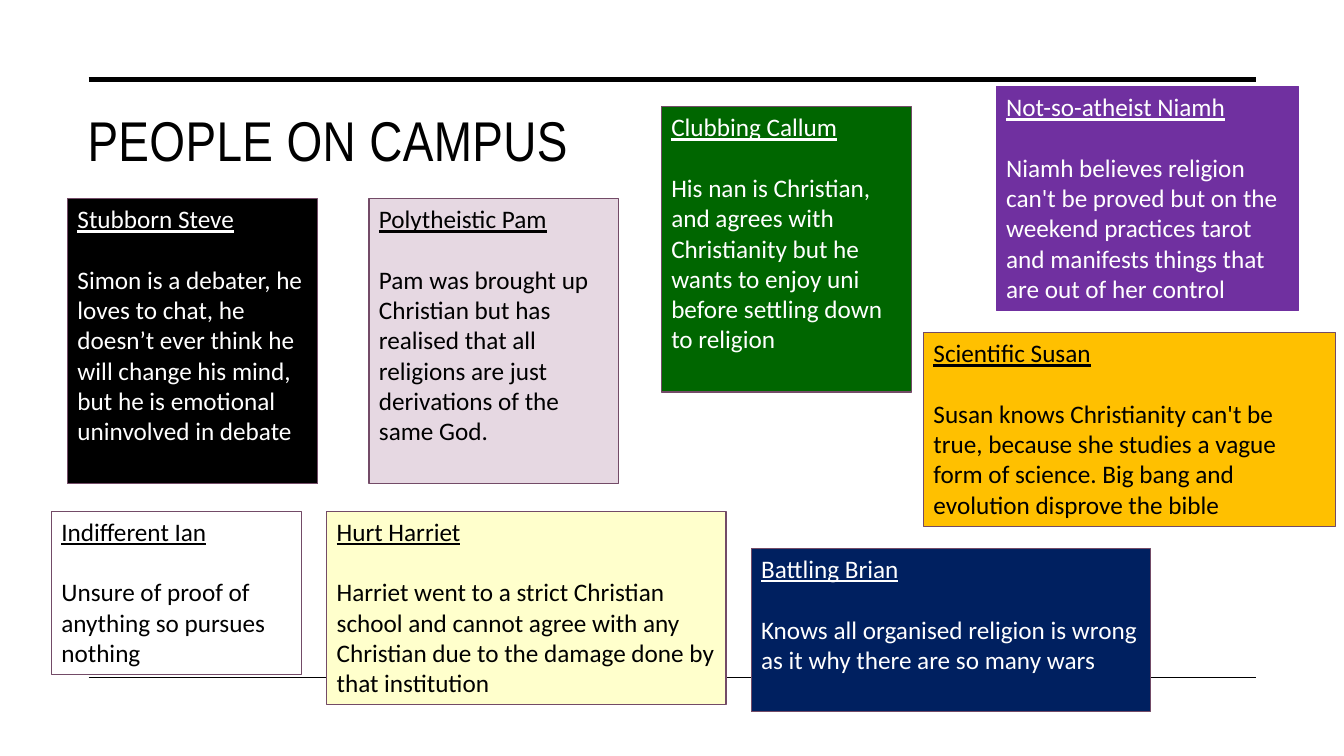
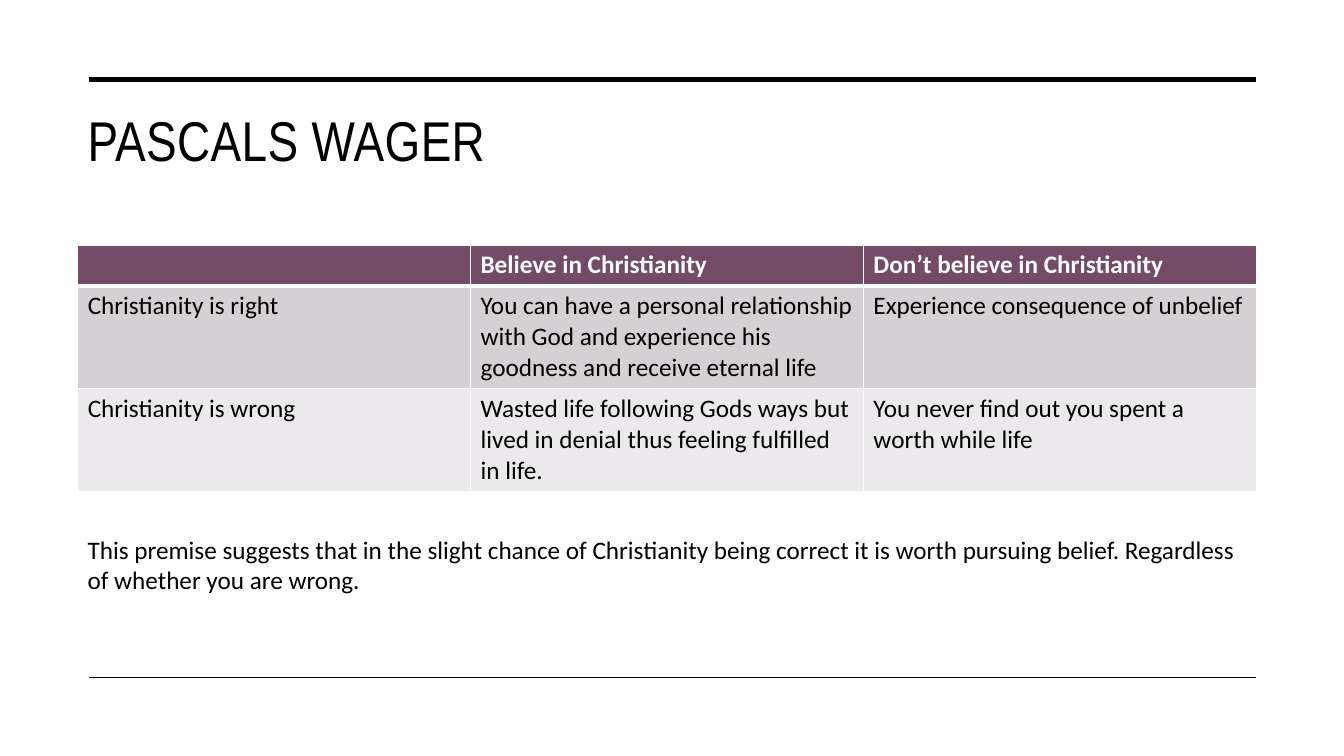
from lxml import etree
from pptx import Presentation
from pptx import util as u
from pptx.dml.color import RGBColor
from pptx.enum import shapes, text
from pptx.oxml.ns import qn

BLACK = RGBColor(0x00, 0x00, 0x00)
WHITE = RGBColor(0xFF, 0xFF, 0xFF)
PLUM = RGBColor(0x73, 0x4B, 0x67)
LILAC = RGBColor(0xE6, 0xD8, 0xE2)
GREEN = RGBColor(0x00, 0x66, 0x00)
AMBER = RGBColor(0xFF, 0xC0, 0x00)
CREAM = RGBColor(0xFF, 0xFF, 0xCC)
NAVY = RGBColor(0x00, 0x20, 0x60)
PURPLE = RGBColor(0x70, 0x30, 0xA0)
BAND_DARK = RGBColor(0xD5, 0xD0, 0xD3)
BAND_LIGHT = RGBColor(0xEB, 0xE9, 0xEB)

TITLE_FONT, BODY_FONT = "Arial Narrow", "Calibri"
BODY_SIZE = 18
# Positions and sizes are percentages of the slide's width and height
LEFT, WIDTH = 5.78, 87.7
RULE_LEFT, RULE_RIGHT = 6.6, 93.47


class Deck:
    def __init__(self):
        self.presentation = Presentation()
        self.presentation.slide_width = u.Inches(13.33)
        self.presentation.slide_height = u.Inches(7.5)
        self.slide = None

    def x(self, share):
        return int(self.presentation.slide_width * share / 100)

    def y(self, share):
        return int(self.presentation.slide_height * share / 100)

    def box(self, left, top, width, height):
        return self.x(left), self.y(top), self.x(width), self.y(height)

    def new_slide(self, title):
        self.slide = self.presentation.slides.add_slide(self.presentation.slide_layouts[6])
        self.rule(10.53, 3.5)
        self.rule(89.6, 1)
        run = self.text_box(title, 13.33, 19.07, TITLE_FONT, 40)
        run.font._element.set("spc", "30")

    def rule(self, top, weight):
        line = self.slide.shapes.add_connector(
            shapes.MSO_CONNECTOR.STRAIGHT,
            self.x(RULE_LEFT), self.y(top), self.x(RULE_RIGHT), self.y(top))
        line.line.color.rgb = BLACK
        line.line.width = u.Pt(weight)
        etree.SubElement(line._element.spPr, qn("a:effectLst"))

    def add_run(self, paragraph, words, color=BLACK, font=BODY_FONT, size=BODY_SIZE,
                bold=False, underline=False):
        paragraph.alignment = text.PP_ALIGN.LEFT
        run = paragraph.add_run()
        run.text = words
        run.font.name = font
        run.font.size = u.Pt(size)
        run.font.bold = bold
        run.font.underline = underline
        run.font.color.rgb = color
        return run

    def text_box(self, words, top, height, font=BODY_FONT, size=BODY_SIZE):
        frame = self.slide.shapes.add_textbox(*self.box(LEFT, top, WIDTH, height)).text_frame
        frame.word_wrap = True
        return self.add_run(frame.paragraphs[0], words, font=font, size=size)

    def card(self, place, fill, color, name, story, border=PLUM):
        shape = self.slide.shapes.add_shape(shapes.MSO_SHAPE.RECTANGLE, *self.box(*place))
        shape.shadow.inherit = False
        if fill is None:
            shape.fill.background()
        else:
            shape.fill.solid()
            shape.fill.fore_color.rgb = fill
        shape.line.color.rgb = border
        shape.line.width = u.Pt(0.75)
        frame = shape.text_frame
        frame.word_wrap = True
        frame.vertical_anchor = text.MSO_ANCHOR.TOP
        self.add_run(frame.paragraphs[0], name, color, underline=True)
        paragraph = frame.add_paragraph()
        paragraph.space_before = u.Pt(21.7)
        self.add_run(paragraph, story, color)

    def cell_borders(self, cell, top, bottom):
        properties = cell._tc.get_or_add_tcPr()
        for side, weight in (("L", 1), ("R", 1), ("T", top), ("B", bottom)):
            line = etree.SubElement(properties, qn("a:ln" + side), w=str(u.Pt(weight)))
            fill = etree.SubElement(line, qn("a:solidFill"))
            etree.SubElement(fill, qn("a:srgbClr"), val=str(WHITE))

    def table(self, top, heights, rows, fills):
        frame = self.slide.shapes.add_table(
            len(rows), len(rows[0]), *self.box(LEFT, top, WIDTH, sum(heights)))
        table = frame.table
        for row, words in enumerate(rows):
            header = row == 0
            table.rows[row].height = self.y(heights[row])
            for column, label in enumerate(words):
                cell = table.cell(row, column)
                self.cell_borders(cell, 3 if row == 1 else 1, 3 if header else 1)
                cell.fill.solid()
                cell.fill.fore_color.rgb = fills[row]
                if label:
                    self.add_run(cell.text_frame.paragraphs[0], label,
                                 WHITE if header else BLACK, bold=header)


def main():
    deck = Deck()

    # People on campus: one card per person
    deck.new_slide("PEOPLE ON CAMPUS")
    narrow, wide = 18.6, 29.71
    tall, medium, short = 37.73, 25.6, 21.6
    upper, lower = 26.27, 67.6
    deck.card((5.03, upper, narrow, tall), BLACK, WHITE, "Stubborn Steve",
              "Simon is a debater, he loves to chat, he doesn’t ever think he will "
              "change his mind, but he is emotional uninvolved in debate")
    deck.card((27.46, upper, narrow, tall), LILAC, BLACK, "Polytheistic Pam",
              "Pam was brought up Christian but has realised that all religions are "
              "just derivations of the same God.")
    deck.card((49.21, 14.13, narrow, tall), GREEN, WHITE, "Clubbing Callum",
              "His nan is Christian, and agrees with Christianity but he wants to "
              "enjoy uni before settling down to religion")
    deck.card((68.72, 44, 30.68, medium), AMBER, BLACK, "Scientific Susan",
              "Susan knows Christianity can't be true, because she studies a vague "
              "form of science. Big bang and evolution disprove the bible")
    deck.card((24.31, lower, wide, medium), CREAM, BLACK, "Hurt Harriet",
              "Harriet went to a strict Christian school and cannot agree with any "
              "Christian due to the damage done by that institution")
    deck.card((55.89, 72.53, wide, short), NAVY, WHITE, "Battling Brian",
              "Knows all organised religion is wrong as it why there are so many wars")
    deck.card((3.83, lower, narrow, short), None, BLACK, "Indifferent Ian",
              "Unsure of proof of anything so pursues nothing")
    deck.card((74.12, 11.47, 22.51, 29.6), PURPLE, WHITE, "Not-so-atheist Niamh",
              "Niamh believes religion can't be proved but on the weekend practices "
              "tarot and manifests things that are out of her control", border=PURPLE)

    # Pascal's wager: outcome table and conclusion
    deck.new_slide("PASCALS WAGER")
    deck.table(32.4, (5.4, 13.6, 13.6), (
        ("", "Believe in Christianity", "Don’t believe in Christianity"),
        ("Christianity is right",
         "You can have a personal relationship with God and experience his goodness "
         "and receive eternal life",
         "Experience consequence of unbelief"),
        ("Christianity is wrong",
         "Wasted life following Gods ways but lived in denial thus feeling fulfilled "
         "in life.",
         "You never find out you spent a worth while life"),
    ), (PLUM, BAND_DARK, BAND_LIGHT))
    deck.text_box("This premise suggests that in the slight chance of Christianity being "
                  "correct it is worth pursuing belief. Regardless of whether you are wrong.",
                  70, 9.47)

    deck.presentation.save("out.pptx")


if __name__ == "__main__":
    main()
